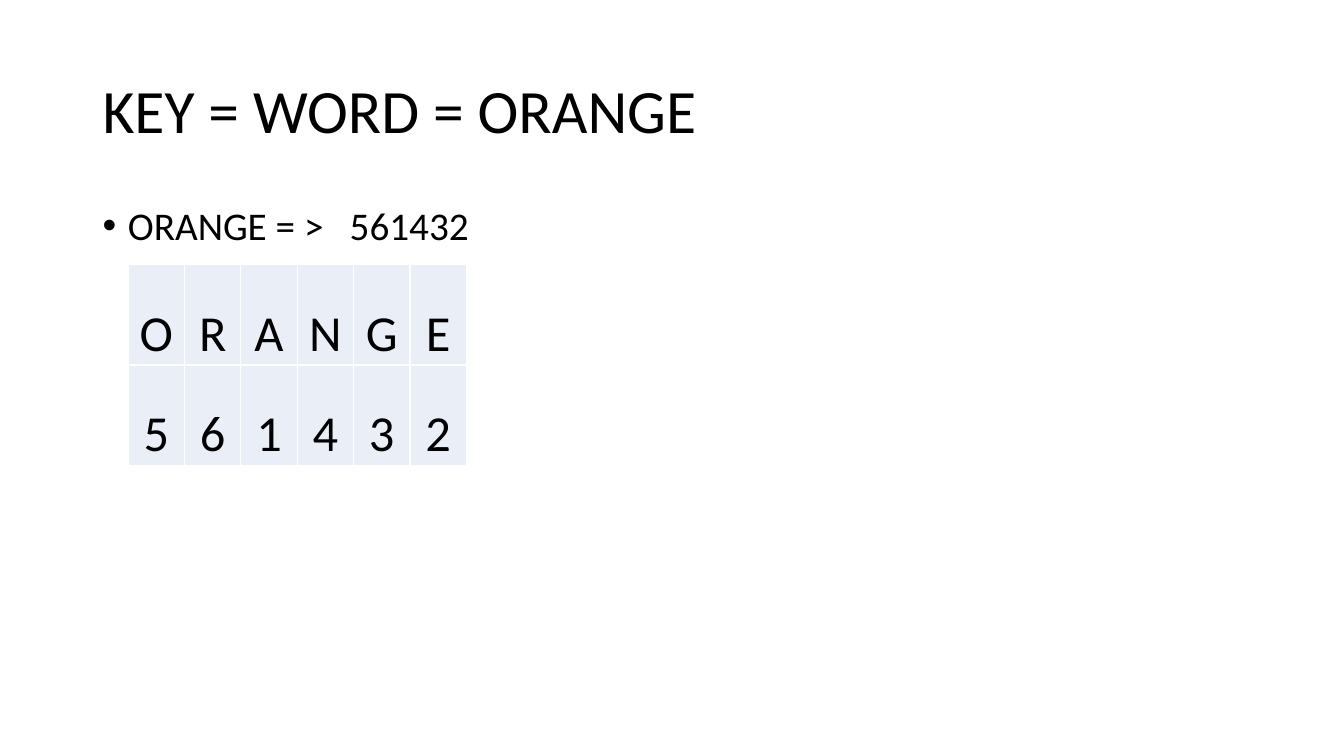
from dataclasses import dataclass

from lxml.etree import SubElement
from pptx import Presentation
from pptx.dml.color import RGBColor
from pptx.enum.text import MSO_ANCHOR, PP_ALIGN
from pptx.oxml.ns import qn
from pptx.util import Cm, Pt


@dataclass(frozen=True)
class Theme:
    """Hold the colours, font and type sizes."""
    font: str = "Calibri"
    ink: str = "000000"
    fill: str = "EAEFF7"
    rule: str = "FFFFFF"
    head: int = 44
    body: int = 28
    cell: int = 36


THEME = Theme()


def style(para, size):
    """Format every run of a paragraph."""
    for run in para.runs:
        run.font.name = THEME.font
        run.font.size = Pt(size)
        run.font.bold = False
        run.font.color.rgb = RGBColor.from_string(THEME.ink)


def place(shape, left, top, width, height):
    """Move and size a shape, in centimetres."""
    shape.left, shape.top = Cm(left), Cm(top)
    shape.width, shape.height = Cm(width), Cm(height)


def fill_text(shape, text, size, anchor):
    """Write one left-aligned paragraph into a placeholder."""
    frame = shape.text_frame
    frame.text = text
    frame.word_wrap = True
    frame.vertical_anchor = anchor
    para = frame.paragraphs[0]
    para.alignment = PP_ALIGN.LEFT
    para.line_spacing = 0.9
    para.space_before = Pt(0)
    style(para, size)
    return para


def add_bullet(para, indent, stop):
    """Give a paragraph a hanging bullet and one tab stop."""
    props = para._p.get_or_add_pPr()
    props.set("marL", str(Cm(indent)))
    props.set("indent", str(-Cm(indent)))
    SubElement(props, qn("a:buFont"), typeface="Arial")
    SubElement(props, qn("a:buChar"), char="•")
    tabs = SubElement(props, qn("a:tabLst"))
    SubElement(tabs, qn("a:tab"), pos=str(Cm(stop)), algn="l")


def add_edges(cell):
    """Draw thin lines on all four sides of a cell."""
    props = cell._tc.get_or_add_tcPr()
    for place_no, side in enumerate(("lnL", "lnR", "lnT", "lnB")):
        line = SubElement(props, qn(f"a:{side}"), w=str(Pt(1)))
        solid = SubElement(line, qn("a:solidFill"))
        SubElement(solid, qn("a:srgbClr"), val=THEME.rule)
        props.insert(place_no, line)


def format_cell(cell, text):
    """Write and format one table cell."""
    cell.text = text
    cell.vertical_anchor = MSO_ANCHOR.BOTTOM
    cell.margin_left = cell.margin_right = cell.margin_top = Cm(0.03)
    cell.margin_bottom = Cm(0)
    cell.fill.solid()
    cell.fill.fore_color.rgb = RGBColor.from_string(THEME.fill)
    para = cell.text_frame.paragraphs[0]
    para.alignment = PP_ALIGN.CENTER
    style(para, THEME.cell)
    add_edges(cell)


def add_grid(slide, rows, left, top, wide, high):
    """Add a table of single characters with equal cells."""
    count = len(rows[0])
    frame = slide.shapes.add_table(
        len(rows), count, Cm(left), Cm(top),
        Cm(wide * count), Cm(high * len(rows)))
    table = frame.table
    table.first_row = table.horz_banding = False
    for col in table.columns:
        col.width = Cm(wide)
    for row, chars in zip(table.rows, rows):
        row.height = Cm(high)
        for cell, char in zip(row.cells, chars):
            format_cell(cell, char)


def main():
    """Build and save the slide."""
    deck = Presentation()
    deck.slide_width, deck.slide_height = Cm(33.87), Cm(19.05)
    slide = deck.slides.add_slide(deck.slide_layouts[1])

    title, body = slide.placeholders
    place(title, 2.33, 1.01, 29.21, 3.68)
    fill_text(title, "KEY = WORD = ORANGE", THEME.head, MSO_ANCHOR.MIDDLE)

    place(body, 2.33, 5.07, 29.21, 12.09)
    para = fill_text(body, "ORANGE = >\t561432", THEME.body, MSO_ANCHOR.TOP)
    add_bullet(para, indent=0.64, stop=6.23)

    add_grid(slide, ("ORANGE", "561432"), 3.23, 6.67, 1.42, 2.53)
    deck.save("out.pptx")


if __name__ == "__main__":
    main()
